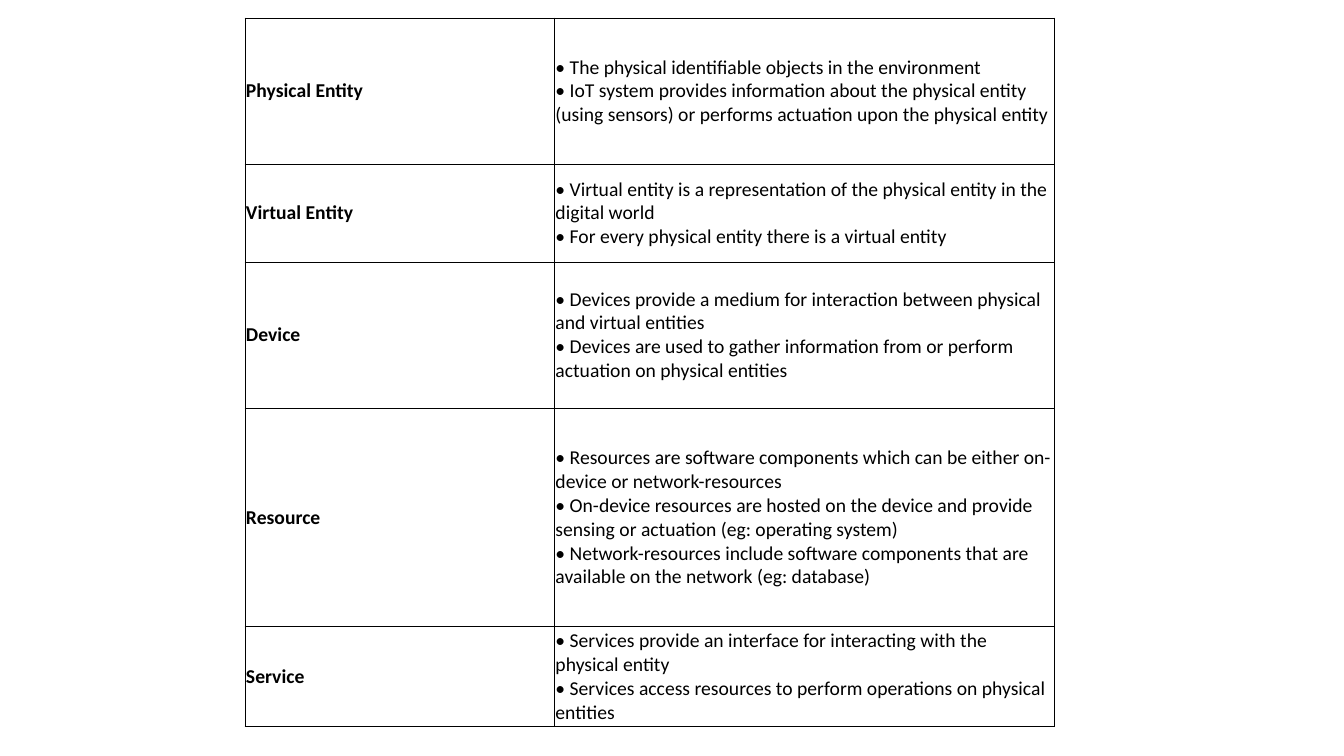
"""Build a slide with a table that defines the IoT entities."""
from lxml import etree
from pptx import Presentation
from pptx.dml.color import RGBColor
from pptx.enum.text import MSO_ANCHOR
from pptx.oxml.ns import qn
from pptx.util import Inches, Pt

MIDDLE = MSO_ANCHOR.MIDDLE
BLACK, WHITE = "000000", "FFFFFF"
BORDER_WIDTH = Pt(0.75)
INSET = Inches(0.01)
COLUMN_WIDTHS = [3.07, 4.96]
CELL_FORMAT = {
    "vertical_anchor": MIDDLE,
    "margin_left": INSET,
    "margin_right": INSET,
    "margin_top": INSET,
    "margin_bottom": INSET,
}
ENTITIES = [
    (1.45, "Physical Entity", [
        "The physical identifiable objects in the environment",
        "IoT system provides information about the physical entity "
        "(using sensors) or performs actuation upon the physical entity",
    ]),
    (0.97, "Virtual Entity", [
        "Virtual entity is a representation of the physical entity in the digital world",
        "For every physical entity there is a virtual entity",
    ]),
    (1.45, "Device", [
        "Devices provide a medium for interaction between physical and virtual entities",
        "Devices are used to gather information from or perform actuation on physical entities",
    ]),
    (2.17, "Resource", [
        "Resources are software components which can be either on-device or network-resources",
        "On-device resources are hosted on the device and provide sensing "
        "or actuation (eg: operating system)",
        "Network-resources include software components that are available "
        "on the network (eg: database)",
    ]),
    (0.99, "Service", [
        "Services provide an interface for interacting with the physical entity",
        "Services access resources to perform operations on physical entities",
    ]),
]


def paint(color_format, hex_color):
    color_format.rgb = RGBColor.from_string(hex_color)


def add_borders(cell):
    properties = cell._tc.get_or_add_tcPr()
    for side in ("lnL", "lnR", "lnT", "lnB"):
        line = etree.SubElement(properties, qn(f"a:{side}"), w=str(BORDER_WIDTH))
        fill = etree.SubElement(line, qn("a:solidFill"))
        etree.SubElement(fill, qn("a:srgbClr"), val=BLACK)


presentation = Presentation()
presentation.slide_width = Inches(13.33)
presentation.slide_height = Inches(7.5)
slide = presentation.slides.add_slide(presentation.slide_layouts[6])

table_height = sum(height for height, name, points in ENTITIES)
table = slide.shapes.add_table(
    len(ENTITIES), len(COLUMN_WIDTHS), Inches(2.43), Inches(0.18),
    Inches(sum(COLUMN_WIDTHS)), Inches(table_height),
).table
table.first_row = False
table.horz_banding = False
for column, width in zip(table.columns, COLUMN_WIDTHS):
    column.width = Inches(width)

for row, (height, name, points) in zip(table.rows, ENTITIES):
    row.height = Inches(height)
    contents = [name, "\n".join(f"• {point}" for point in points)]
    for column_index, (cell, text) in enumerate(zip(row.cells, contents)):
        cell.text = text
        for attribute, value in CELL_FORMAT.items():
            setattr(cell, attribute, value)
        add_borders(cell)
        cell.fill.solid()
        paint(cell.fill.fore_color, WHITE)
        font_format = {"name": "Calibri", "size": Pt(14), "bold": column_index == 0}
        for paragraph in cell.text_frame.paragraphs:
            font = paragraph.runs[0].font
            for attribute, value in font_format.items():
                setattr(font, attribute, value)
            paint(font.color, BLACK)

presentation.save("out.pptx")
